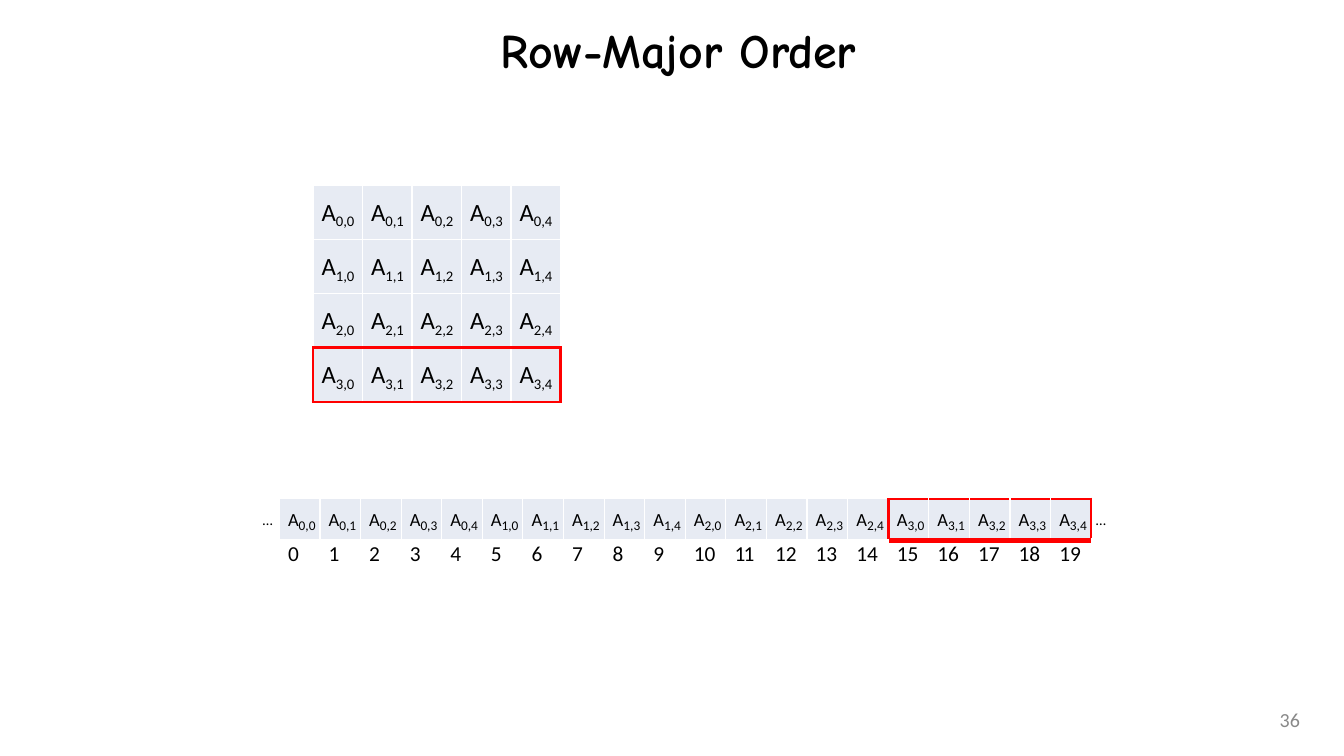
"""Build the row-major order slide: a matrix and its linear memory layout."""
from dataclasses import dataclass
from typing import Any

from lxml import etree
from pptx import Presentation
from pptx.dml.color import RGBColor
from pptx.enum.text import MSO_ANCHOR, PP_ALIGN
from pptx.oxml.ns import qn
from pptx.util import Pt

LEFT, CENTER, RIGHT = PP_ALIGN.LEFT, PP_ALIGN.CENTER, PP_ALIGN.RIGHT
TOP, MIDDLE = MSO_ANCHOR.TOP, MSO_ANCHOR.MIDDLE
ROWS, COLUMNS = 4, 5


@dataclass(frozen=True)
class Theme:
    """Fonts, colours and type sizes of the slide."""
    title_font: str = "Comic Neue"
    body_font: str = "Calibri"
    ink: str = "000000"
    muted: str = "898989"
    cell: str = "E7EBF3"
    divider: str = "FFFFFF"
    highlight: str = "FF0000"
    title_size: float = 36
    ellipsis_size: float = 11
    address_size: float = 16
    page_size: float = 15


@dataclass(frozen=True)
class Entry:
    """One table cell: a matrix element or a memory address."""
    name: str
    subscript: str = ""
    highlighted: bool = False


@dataclass(frozen=True)
class Grid:
    """Place, cell size and type sizes of one table."""
    left: float
    top: float
    cell_width: float
    cell_height: float
    name_size: float
    subscript_size: float
    inner_divider: float = 1
    inner_highlight: float = 2.25


@dataclass(frozen=True)
class Label:
    """A free-standing line of text."""
    text: str
    left: float
    top: float
    width: float
    height: float
    size: float
    color: str
    align: Any = LEFT
    anchor: Any = TOP
    margin_x: float = 0
    margin_y: float = 0


THEME = Theme()
MATRIX_GRID = Grid(234.72, 138.96, 37.15, 40.7, 32, 11)
MEMORY_GRID = Grid(209.52, 374.4, 30.46, 31.4, 24, 10, 3.16, 3.79)
LABELS = [
    *(Label("…", left, 383.04, 12.24, 13.68, THEME.ellipsis_size, THEME.ink, margin_x=0.5)
      for left in (196.56, 821.52)),
    Label("36", 748.08, 524.88, 235.44, 30.24, THEME.page_size, THEME.muted,
          RIGHT, MIDDLE, 8.6, 4.3),
]


def format_font(font: Any, size: float, color: str, name: str = THEME.body_font) -> None:
    """Apply typeface, size and colour to a font."""
    font.name, font.size = name, Pt(size)
    font.color.rgb = RGBColor.from_string(color)


def place(shape: Any, left: float, top: float, width: float, height: float) -> None:
    """Move and size a shape in points."""
    shape.left, shape.top = Pt(left), Pt(top)
    shape.width, shape.height = Pt(width), Pt(height)


def draw_title(slide: Any, text: str) -> None:
    """Fill and place the title placeholder."""
    title = slide.shapes.title
    place(title, 118.8, 5.76, 779.76, 62.64)
    title.text_frame.text = text
    title.text_frame.vertical_anchor = MIDDLE
    paragraph = title.text_frame.paragraphs[0]
    paragraph.alignment = CENTER
    font = paragraph.runs[0].font
    format_font(font, THEME.title_size, THEME.ink, THEME.title_font)
    font.bold = True


def draw_label(slide: Any, label: Label) -> None:
    """Draw one text box."""
    box = slide.shapes.add_textbox(Pt(label.left), Pt(label.top), Pt(label.width), Pt(label.height))
    frame = box.text_frame
    frame.word_wrap = True
    frame.margin_left = frame.margin_right = Pt(label.margin_x)
    frame.margin_top = frame.margin_bottom = Pt(label.margin_y)
    frame.vertical_anchor = label.anchor
    frame.text = label.text
    frame.paragraphs[0].alignment = label.align
    format_font(frame.paragraphs[0].runs[0].font, label.size, label.color)


def add_border(cell: Any, side: str, color: str, width: float) -> None:
    """Add one solid border line to a cell."""
    properties = cell._tc.get_or_add_tcPr()
    line = etree.SubElement(properties, qn(f"a:ln{side}"), w=str(Pt(width)))
    fill = etree.SubElement(line, qn("a:solidFill"))
    etree.SubElement(fill, qn("a:srgbClr"), val=color)


def draw_borders(cell: Any, grid: Grid, entries: list[list[Entry]], row: int, column: int) -> None:
    """Border a cell, marking the edges where the highlight begins or ends."""
    highlighted = entries[row][column].highlighted
    for side, row_step, column_step in (("L", 0, -1), ("R", 0, 1), ("T", -1, 0), ("B", 1, 0)):
        next_row, next_column = row + row_step, column + column_step
        inside = 0 <= next_row < len(entries) and 0 <= next_column < len(entries[0])
        neighbour = inside and entries[next_row][next_column].highlighted
        inner = inside and row_step != 0
        if highlighted != neighbour:
            add_border(cell, side, THEME.highlight, grid.inner_highlight if inner else 2.25)
        else:
            add_border(cell, side, THEME.divider, grid.inner_divider if inner else 1)


def fill_cell(cell: Any, entry: Entry, grid: Grid) -> None:
    """Write an element with its subscript, or a plain address."""
    cell.margin_left = Pt(6.5)
    cell.margin_right = cell.margin_top = cell.margin_bottom = 0
    cell.vertical_anchor = MIDDLE if entry.subscript else TOP
    paragraph = cell.text_frame.paragraphs[0]
    paragraph.text = entry.name
    name = paragraph.runs[0]
    if entry.subscript:
        cell.fill.solid()
        cell.fill.fore_color.rgb = RGBColor.from_string(THEME.cell)
        format_font(name.font, grid.name_size, THEME.ink)
        name.font._element.set("baseline", "13000")
        subscript = paragraph.add_run()
        subscript.text = entry.subscript
        format_font(subscript.font, grid.subscript_size, THEME.ink)
    else:
        cell.fill.background()
        format_font(name.font, THEME.address_size, THEME.ink)
        if entry.name == "11":
            name.font._element.set("spc", "-120")


def draw_grid(slide: Any, grid: Grid, entries: list[list[Entry]]) -> None:
    """Draw a table of entries with equal cells."""
    rows, columns = len(entries), len(entries[0])
    table = slide.shapes.add_table(
        rows, columns, Pt(grid.left), Pt(grid.top),
        Pt(columns * grid.cell_width), Pt(rows * grid.cell_height)).table
    table.first_row = table.horz_banding = False
    for column in table.columns:
        column.width = Pt(grid.cell_width)
    for row_index, row in enumerate(table.rows):
        row.height = Pt(grid.cell_height)
        for column_index, cell in enumerate(row.cells):
            draw_borders(cell, grid, entries, row_index, column_index)
            fill_cell(cell, entries[row_index][column_index], grid)


def main() -> None:
    """Create and save the presentation."""
    presentation = Presentation()
    presentation.slide_width, presentation.slide_height = Pt(1008), Pt(567.36)
    slide = presentation.slides.add_slide(presentation.slide_layouts[5])
    matrix = [[Entry("A", f"{row},{column}", row == ROWS - 1) for column in range(COLUMNS)]
              for row in range(ROWS)]
    elements = [entry for row in matrix for entry in row]
    addresses = [Entry(str(address)) for address in range(len(elements))]
    draw_title(slide, "Row-Major Order")
    draw_grid(slide, MATRIX_GRID, matrix)
    draw_grid(slide, MEMORY_GRID, [elements, addresses])
    for label in LABELS:
        draw_label(slide, label)
    presentation.save("out.pptx")


if __name__ == "__main__":
    main()
